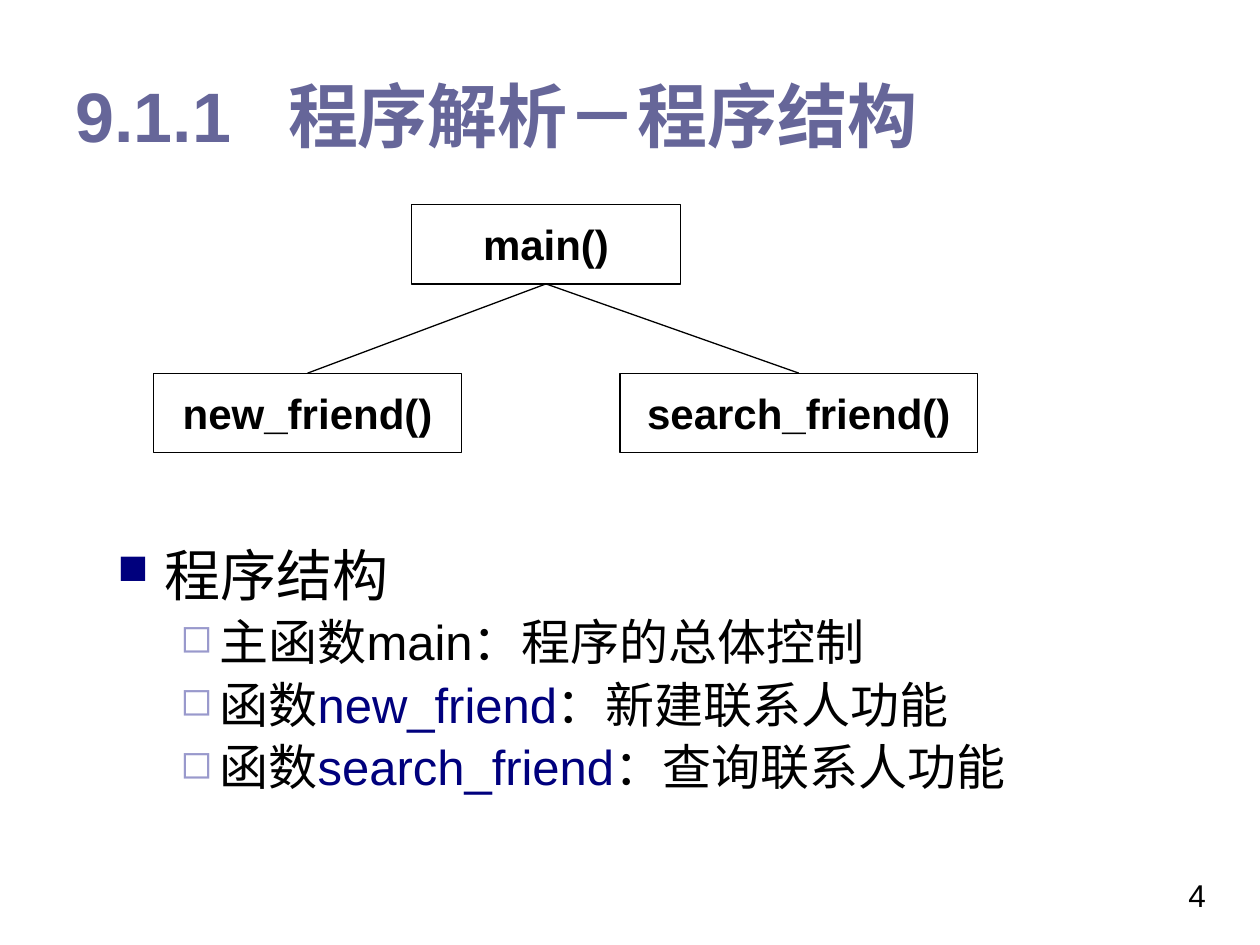
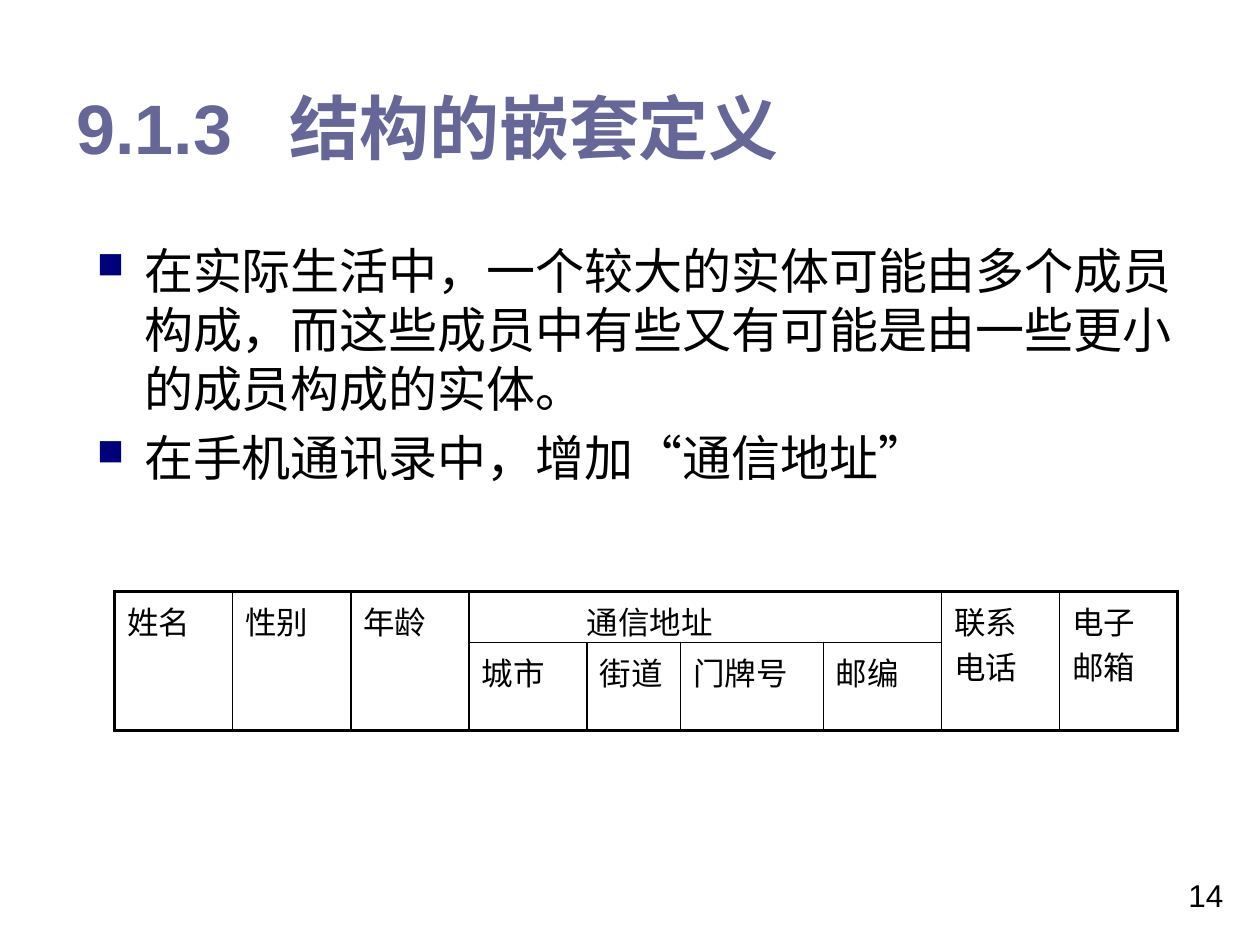
from lxml import etree
from pptx import Presentation
from pptx.dml.color import RGBColor
from pptx.enum.shapes import MSO_CONNECTOR, MSO_SHAPE
from pptx.enum.text import MSO_ANCHOR, PP_ALIGN
from pptx.oxml.ns import qn
from pptx.util import Pt

BLACK = RGBColor(0, 0, 0)
WHITE = RGBColor(255, 255, 255)
TITLE_COLOR = RGBColor(0x66, 0x66, 0x99)
NAVY = RGBColor(0, 0, 0x7D)
LILAC = RGBColor(0x99, 0x99, 0xCC)
LATIN, CJK = "Arial", "Noto Sans CJK SC"
NO_STYLE = "{2D5ABB26-0587-4C30-8999-92F81FD0307C}"

# Per level: character, colour, size in percent, left margin, hanging indent
BULLETS = [("■", NAVY, 75, 27, 27), ("◻", LILAC, 80, 58.5, 22.5)]


def add_xml(parent, tag, **attrs):
    e = etree.SubElement(parent, qn(tag))
    for name, value in attrs.items():
        e.set(name, str(value))
    return e


def style(p, size, color=BLACK, bold=False, name=LATIN):
    f = p.font
    f.size, f.bold, f.name = Pt(size), bold, name
    if color is not None:
        f.color.rgb = color


def add_text_box(s, box, anchor=MSO_ANCHOR.TOP):
    tf = s.shapes.add_textbox(*map(Pt, box)).text_frame
    tf.word_wrap = True
    tf.vertical_anchor = anchor
    return tf


def add_title(s, box, number, text):
    p = add_text_box(s, box, MSO_ANCHOR.MIDDLE).paragraphs[0]
    p.text = f"{number}\t{text}"
    tabs = add_xml(p._p.get_or_add_pPr(), "a:tabLst")
    add_xml(tabs, "a:tab", pos=Pt(121.5), algn="l")
    style(p, 40, TITLE_COLOR, bold=True)


def add_page_number(s, number):
    p = add_text_box(s, (672, 497, 39.5, 29)).paragraphs[0]
    p.text = str(number)
    style(p, 18)


def set_bullet(p, level):
    char, color, percent, margin, hang = BULLETS[level]
    p.level = level
    pPr = p._p.get_or_add_pPr()
    pPr.set("marL", str(Pt(margin)))
    pPr.set("indent", str(-Pt(hang)))
    add_xml(add_xml(pPr, "a:buClr"), "a:srgbClr", val=color)
    add_xml(pPr, "a:buSzPct", val=percent * 1000)
    add_xml(pPr, "a:buChar", char=char)


def add_bullets(s, box, items, name=LATIN, line_spacing=1.0):
    """Each item is (level, size, runs), where a run is (text, colour)."""
    tf = add_text_box(s, box)
    for i, (level, size, runs) in enumerate(items):
        p = tf.paragraphs[0] if i == 0 else tf.add_paragraph()
        set_bullet(p, level)
        p.line_spacing = line_spacing
        if i:
            p.space_before = Pt(size * 0.2)
        style(p, size, color=None, name=name)
        for text, color in runs:
            r = p.add_run()
            r.text = text
            r.font.color.rgb = color


def add_function_box(s, box, text):
    sp = s.shapes.add_shape(MSO_SHAPE.RECTANGLE, *map(Pt, box))
    sp.shadow.inherit = False
    sp.fill.solid()
    sp.fill.fore_color.rgb = WHITE
    sp.line.color.rgb = BLACK
    sp.line.width = Pt(0.75)
    tf = sp.text_frame
    tf.word_wrap = False
    tf.vertical_anchor = MSO_ANCHOR.MIDDLE
    p = tf.paragraphs[0]
    p.text = text
    p.alignment = PP_ALIGN.CENTER
    style(p, 24, bold=True)
    return sp


def add_call_tree(s, box):
    x, y, w, h = box
    node_h = 45.5
    leaf_y = y + h - node_h
    root = add_function_box(s, (x + 147.5, y, 153.5, node_h), "main()")
    leaves = [
        add_function_box(s, (x, leaf_y, 176, node_h), "new_friend()"),
        add_function_box(s, (x + w - 204.5, leaf_y, 204.5, node_h), "search_friend()"),
    ]
    for leaf in leaves:
        c = s.shapes.add_connector(MSO_CONNECTOR.STRAIGHT, 0, 0, 0, 0)
        c.begin_connect(root, 2)
        c.end_connect(leaf, 0)
        c.line.color.rgb = BLACK
        c.line.width = Pt(0.75)
        add_xml(c._element.spPr, "a:effectLst")


def set_borders(cell, widths):
    """Draw the sides in widths, which maps L, R, T, B to points."""
    tcPr = cell._tc.get_or_add_tcPr()
    for side in "LRTB":
        if side in widths:
            ln = add_xml(tcPr, f"a:ln{side}", w=Pt(widths[side]))
            add_xml(add_xml(ln, "a:solidFill"), "a:srgbClr", val=BLACK)
    cell.fill.background()


def add_record_table(s, box):
    x, y, w, h = box
    widths = [67.5] * 4 + [53.5, 81.5] + [67.5] * 3
    heights = [29, 31]
    tall = {0: "姓名", 1: "性别", 2: "年龄", 7: "联系电话", 8: "电子邮箱"}
    address_parts = ["城市", "街道", "门牌号", "邮编"]
    first, last = 3, 6

    frame = s.shapes.add_table(2, len(widths), Pt(x), Pt(y), Pt(w), Pt(h))
    table = frame.table
    table.first_row = table.horz_banding = False
    table._tbl.tblPr.find(qn("a:tableStyleId")).text = NO_STYLE
    for col, width in zip(table.columns, widths):
        col.width = Pt(width)
    for row, height in zip(table.rows, heights):
        row.height = Pt(height)

    texts = {(0, c): t for c, t in tall.items()}
    texts[0, first] = "通信地址"
    texts.update({(1, first + i): t for i, t in enumerate(address_parts)})
    for c in tall:
        table.cell(0, c).merge(table.cell(1, c))
    table.cell(0, first).merge(table.cell(0, last))

    end = len(widths) - 1
    for r in range(2):
        for c in range(end + 1):
            cell = table.cell(r, c)
            outer = {"L": c == 0, "R": c + cell.span_width - 1 == end,
                     "T": r == 0, "B": r + cell.span_height - 1 == 1}
            set_borders(cell, {side: 2.25 if edge else 1 for side, edge in outer.items()
                               if edge or not cell.is_spanned})
            if (r, c) in texts:
                p = cell.text_frame.paragraphs[0]
                p.text = texts[r, c]
                style(p, 18)
    heading = table.cell(0, first).text_frame.paragraphs[0]
    heading._p.get_or_add_pPr().set("marL", str(Pt(60)))


def build_structure_slide(s):
    add_page_number(s, 4)
    add_title(s, (36, 36, 505.5, 58.5), "9.1.1", "程序解析－程序结构")
    add_bullets(s, (60, 309.5, 607, 158.5), [
        (0, 32, [("程序结构", BLACK)]),
        (1, 28, [("主函数main：程序的总体控制", BLACK)]),
        (1, 28, [("函数", BLACK), ("new_friend", NAVY), ("：新建联系人功能", BLACK)]),
        (1, 28, [("函数", BLACK), ("search_friend", NAVY), ("：查询联系人功能", BLACK)]),
    ], line_spacing=0.9)
    add_call_tree(s, (87.75, 116.75, 471, 142))


def build_nesting_slide(s):
    add_page_number(s, 14)
    add_title(s, (36.75, 43, 511, 58.5), "9.1.3", "结构的嵌套定义")
    add_bullets(s, (48.25, 134, 641, 170), [
        (0, 28, [("在实际生活中，一个较大的实体可能由多个成员构成，"
                  "而这些成员中有些又有可能是由一些更小的成员构成的实体。", BLACK)]),
        (0, 28, [("在手机通讯录中，增加“通信地址”", BLACK)]),
    ], name=CJK)
    add_record_table(s, (65.5, 338, 607.5, 60))


def main():
    prs = Presentation()
    prs.slide_width, prs.slide_height = Pt(720), Pt(540)
    for build in (build_structure_slide, build_nesting_slide):
        build(prs.slides.add_slide(prs.slide_layouts[6]))
    prs.save("out.pptx")


if __name__ == "__main__":
    main()
